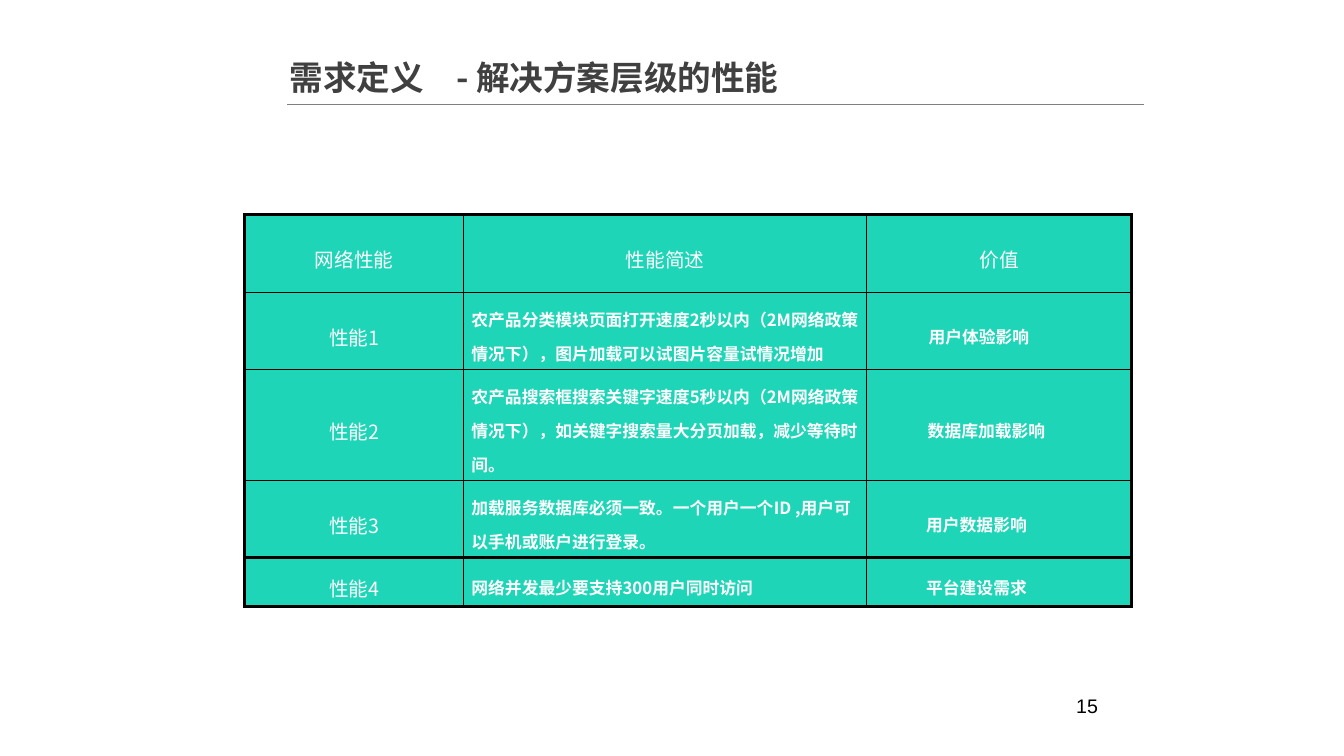
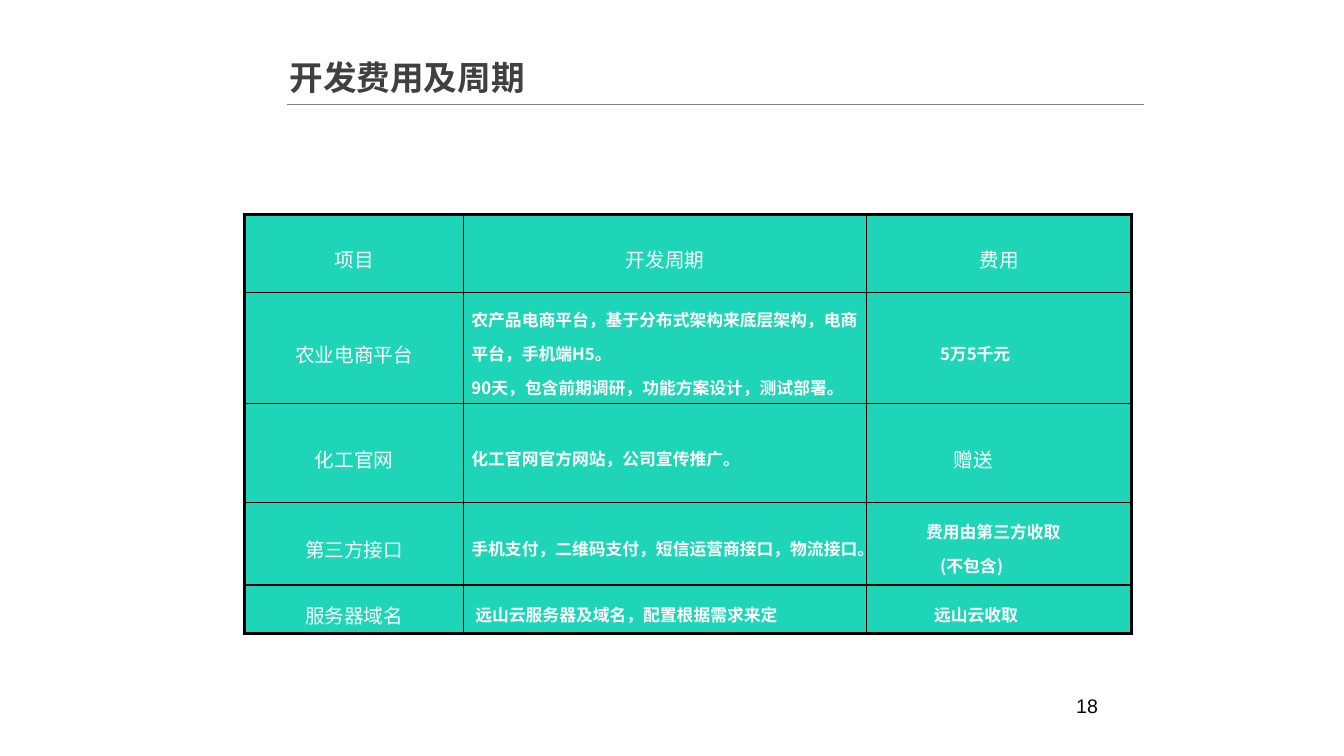
from dataclasses import dataclass

from lxml.etree import SubElement
from pptx import Presentation
from pptx.dml.color import RGBColor as Rgb
from pptx.enum.shapes import MSO_CONNECTOR as Connector
from pptx.enum.text import MSO_ANCHOR as Anchor, PP_ALIGN as Align
from pptx.oxml.ns import qn
from pptx.util import Cm, Pt


@dataclass(frozen=True)
class Theme:
    title_color: Rgb = Rgb(0x40, 0x40, 0x40)
    rule_color: Rgb = Rgb(0x7F, 0x7F, 0x7F)
    cell_fill: Rgb = Rgb(0x1E, 0xD5, 0xB7)
    cell_text: Rgb = Rgb(0xFF, 0xFF, 0xFF)
    black: Rgb = Rgb(0, 0, 0)
    font: str = "Noto Sans CJK SC"
    number_font: str = "Arial"
    title_size: int = 24
    label_size: int = 14
    body_size: int = 12
    line_spacing: float = 1.4
    thin: float = 1
    thick: float = 2.25


THEME = Theme()
NO_TABLE_STYLE = "{2D5ABB26-0587-4C30-8999-92F81FD0307C}"


@dataclass(frozen=True)
class Box:
    left: float
    top: float
    width: float
    height: float = 0

    def lengths(self):
        return [Cm(n) for n in (self.left, self.top, self.width, self.height)]


@dataclass(frozen=True)
class Line:
    """One paragraph of a cell; the indent is in centimetres."""
    text: str
    indent: float = 0
    strong: bool = True


@dataclass(frozen=True)
class Row:
    height: float
    label: str
    details: tuple
    values: tuple


TITLE_BOX = Box(7.04, 1.3, 16.1, 1.27)
RULE_BOX = Box(7.24, 2.64, 21.59)
TABLE_BOX = Box(6.17, 5.41, 22.35)
NUMBER_BOX = Box(26.87, 17.35, 1.47, 1.32)
COLUMN_WIDTHS = (5.51, 10.16, 6.68)
HEADER_HEIGHT = 1.96
HEAVY_ROW = 3  # the row closed by a thick line below

PERFORMANCE = (
    Row(1.94, "性能1",
        (Line("农产品分类模块页面打开速度2秒以内（2M网络政策情况下），图片加载可以试图片容量试情况增加"),),
        (Line("用户体验影响", 1.36),)),
    Row(2.8, "性能2",
        (Line("农产品搜索框搜索关键字速度5秒以内（2M网络政策情况下），如关键字搜索量大分页加载，减少等待时间。"),),
        (Line("数据库加载影响", 1.34),)),
    Row(1.94, "性能3",
        (Line("加载服务数据库必须一致。一个用户一个ID ,用户可以手机或账户进行登录。"),),
        (Line("用户数据影响", 1.3),)),
    Row(1.23, "性能4",
        (Line("网络并发最少要支持300用户同时访问"),),
        (Line("平台建设需求", 1.3),)),
)
COSTS = (
    Row(2.8, "农业电商平台",
        (Line("农产品电商平台，基于分布式架构来底层架构，电商平台，手机端H5。"),
         Line("90天，包含前期调研，功能方案设计，测试部署。")),
        (Line("5万5千元", 1.65),)),
    Row(2.49, "化工官网",
        (Line("化工官网官方网站，公司宣传推广。"),),
        (Line("赠送", 2, strong=False),)),
    Row(2.08, "第三方接口",
        (Line("手机支付，二维码支付，短信运营商接口，物流接口。"),),
        (Line("费用由第三方收取", 1.3), Line("(不包含)", 1.65))),
    Row(1.23, "服务器域名",
        (Line("远山云服务器及域名，配置根据需求来定", 0.1),),
        (Line("远山云收取", 1.5),)),
)


def style(para, size, color, bold=False, name=THEME.font):
    font = para.font
    font.size, font.bold, font.name = Pt(size), bold, name
    font.color.rgb = color
    defaults = para._p.get_or_add_pPr().find(qn("a:defRPr"))
    SubElement(defaults, qn("a:ea")).set("typeface", THEME.font)


def add_title(page, box, text, tab=None):
    """Fill the title placeholder; tab is the place of a tab stop in cm."""
    title = page.shapes.title
    title.left, title.top, title.width, title.height = box.lengths()
    frame = title.text_frame
    frame.word_wrap = True
    frame.vertical_anchor = Anchor.MIDDLE
    frame.text = text
    para = frame.paragraphs[0]
    para.alignment = Align.LEFT
    if tab:
        stops = SubElement(para._p.get_or_add_pPr(), qn("a:tabLst"))
        stop = SubElement(stops, qn("a:tab"))
        stop.set("pos", str(Cm(tab)))
        stop.set("algn", "l")
    style(para, THEME.title_size, THEME.title_color, bold=True)


def add_rule(page, box):
    left, top, width, _ = box.lengths()
    rule = page.shapes.add_connector(Connector.STRAIGHT, left, top, left + width, top)
    rule.line.color.rgb = THEME.rule_color
    rule.line.width = Pt(THEME.thin)
    SubElement(rule._element.spPr, qn("a:effectLst"))


def add_page_number(page, box, number):
    frame = page.shapes.add_textbox(*box.lengths()).text_frame
    frame.word_wrap = True
    frame.text = str(number)
    style(frame.paragraphs[0], THEME.label_size, THEME.black, name=THEME.number_font)


def set_borders(cell, thick_sides):
    properties = cell._tc.get_or_add_tcPr()
    for index, side in enumerate("LRTB"):
        width = THEME.thick if side in thick_sides else THEME.thin
        border = properties.makeelement(qn(f"a:ln{side}"), {"w": str(Pt(width))})
        fill = SubElement(border, qn("a:solidFill"))
        SubElement(fill, qn("a:srgbClr")).set("val", str(THEME.black))
        properties.insert(index, border)


def thick_sides(row, column, last_row, last_column):
    tests = {
        "L": column == 0,
        "R": column == last_column,
        "T": row in (0, HEAVY_ROW + 1),
        "B": row in (HEAVY_ROW, last_row),
    }
    return [side for side, thick in tests.items() if thick]


def fill_cell(cell, lines, centred):
    cell.margin_left = cell.margin_right = Cm(0.2)
    cell.margin_top = cell.margin_bottom = Cm(0.1)
    cell.vertical_anchor = Anchor.MIDDLE
    cell.fill.solid()
    cell.fill.fore_color.rgb = THEME.cell_fill
    frame = cell.text_frame
    frame.text = "\n".join(line.text for line in lines)
    for para, line in zip(frame.paragraphs, lines):
        para.alignment = Align.CENTER if centred else Align.LEFT
        para.line_spacing = THEME.line_spacing
        if line.indent:
            para._p.get_or_add_pPr().set("marL", str(Cm(line.indent)))
        size = THEME.body_size if line.strong else THEME.label_size
        style(para, size, THEME.cell_text, bold=line.strong)


def add_grid(page, box, headings, rows):
    heights = [HEADER_HEIGHT] + [row.height for row in rows]
    content = [[(Line(text, strong=False),) for text in headings]]
    content += [[(Line(row.label, strong=False),), row.details, row.values] for row in rows]
    area = Box(box.left, box.top, box.width, sum(heights))
    table = page.shapes.add_table(len(content), len(headings), *area.lengths()).table
    table.first_row = table.horz_banding = False
    table._tbl.tblPr.find(qn("a:tableStyleId")).text = NO_TABLE_STYLE
    for column, width in zip(table.columns, COLUMN_WIDTHS):
        column.width = Cm(width)
    for row, height in zip(table.rows, heights):
        row.height = Cm(height)
    for r, cells in enumerate(content):
        for c, lines in enumerate(cells):
            cell = table.cell(r, c)
            fill_cell(cell, lines, centred=r == 0 or c == 0)
            set_borders(cell, thick_sides(r, c, len(content) - 1, len(headings) - 1))


def add_table_page(deck, number, title, headings, rows, tab=None):
    page = deck.slides.add_slide(deck.slide_layouts[5])
    add_title(page, TITLE_BOX, title, tab)
    add_rule(page, RULE_BOX)
    add_grid(page, TABLE_BOX, headings, rows)
    add_page_number(page, NUMBER_BOX, number)


def main():
    deck = Presentation()
    deck.slide_width, deck.slide_height = Cm(33.87), Cm(19.05)
    add_table_page(deck, 15, "需求定义\t- 解决方案层级的性能",
                   ("网络性能", "性能简述", "价值"), PERFORMANCE, tab=4.2)
    add_table_page(deck, 18, "开发费用及周期",
                   ("项目", "开发周期", "费用"), COSTS)
    deck.save("out.pptx")


if __name__ == "__main__":
    main()
